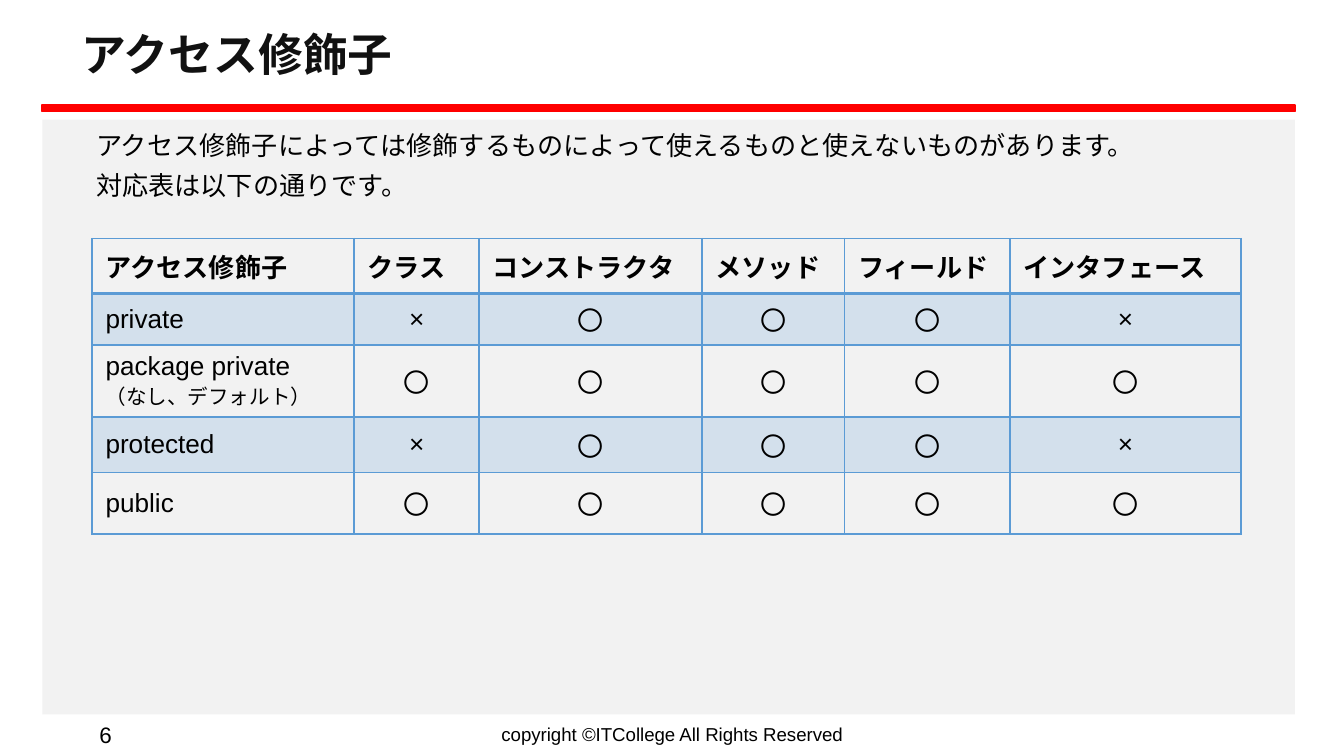
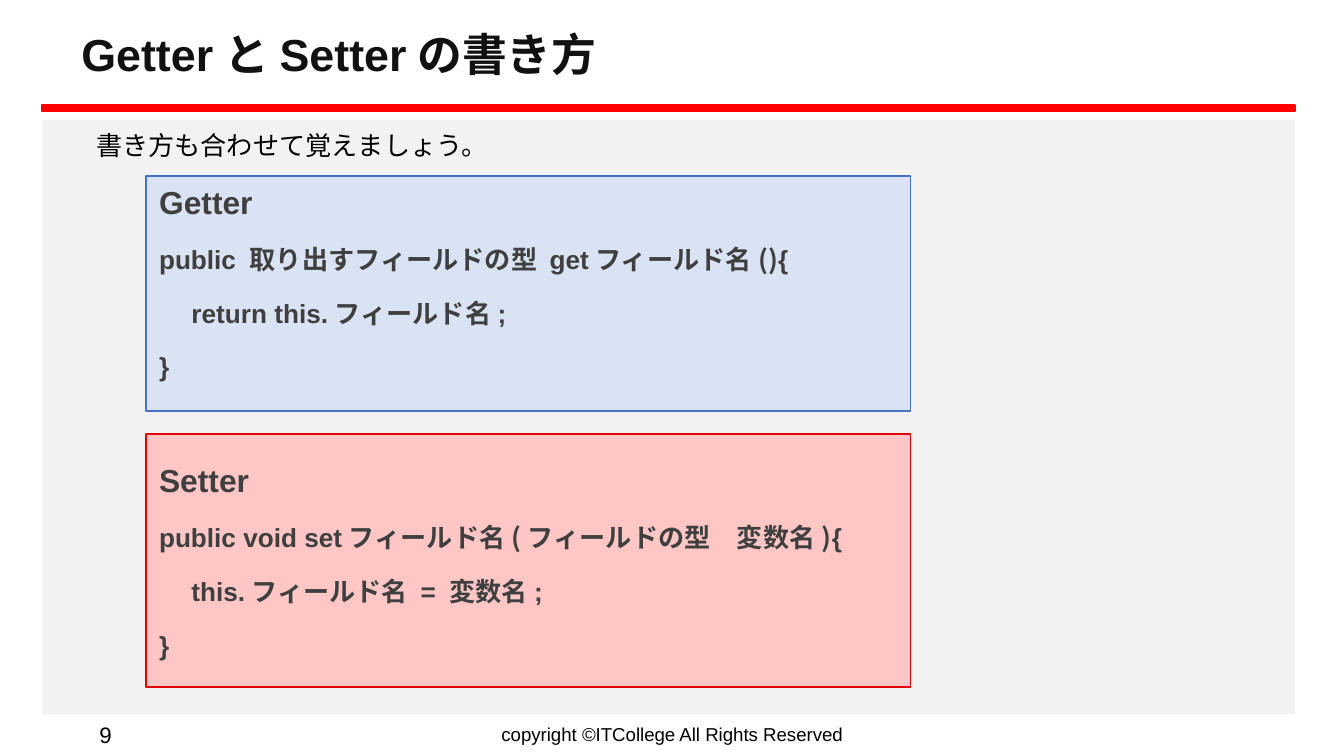
from collections import namedtuple

from lxml.etree import SubElement
from pptx import Presentation
from pptx.dml.color import RGBColor
from pptx.enum.shapes import MSO_SHAPE as Preset
from pptx.enum.text import MSO_ANCHOR as Anchor, MSO_AUTO_SIZE as AutoSize, PP_ALIGN as Align
from pptx.oxml.ns import qn
from pptx.util import Pt

PX = 4572  # 200 px to the inch
Box = namedtuple("Box", "left top width height")

COLORS = {
    "panel": "F2F2F2", "rule": "FF0000", "title": "111111", "text": "000000", "code": "3F3F3F",
    "grid": "5B9BD5", "getter_fill": "DAE3F3", "getter_line": "4472C4",
    "setter_fill": "FFC6C6", "setter_line": "E10000",
}
LATIN, JAPANESE = "Arial", "Noto Sans CJK JP"
FONTS = (LATIN, JAPANESE)
INSET, INDENT = 20, 22

SLIDE = Box(0, 0, 2000, 1125)
PANEL = Box(63, 178, 1864, 885)
RULE = Box(63, 156, 1864, 10)
TITLE = Box(101, 26, 1798, 118)
FOOTER = Box(48, 1065, 1290, 56)

COLUMNS = [390, 186, 332, 212, 246, 344]
ROWS = [82, 76, 108, 82, 92]
HEADERS = ["アクセス修飾子", "クラス", "コンストラクタ", "メソッド", "フィールド", "インタフェース"]
MODIFIERS = [
    ("private", "×〇〇〇×"),
    ("package private\n（なし、デフォルト）", "〇〇〇〇〇"),
    ("protected", "×〇〇〇×"),
    ("public", "〇〇〇〇〇"),
]

# Each code line is cut into pieces that alternate between the two fonts
GETTER = [
    ["Getter"],
    ["public ", "取り出すフィールドの型 ", "get", "フィールド名()", "{"],
    ["　return this.", "フィールド名", ";"],
    ["}"],
]
SETTER = [
    ["Setter"],
    ["public void set", "フィールド名(フィールドの型　変数名)", "{"],
    ["　this.フィールド名 = ", "変数名", ";"],
    ["}"],
]


def color(name):
    return RGBColor.from_string(COLORS[name])


def emu(box):
    return [value * PX for value in box]


def place(shape, box):
    shape.left, shape.top, shape.width, shape.height = emu(box)


def style(font, size, color_name, bold=False, name=LATIN):
    font.name, font.size, font.bold = name, Pt(size), bold
    font.color.rgb = color(color_name)


def write_pieces(paragraph, pieces, size, color_name):
    """Write bold text whose pieces alternate between the two fonts."""
    for index, piece in enumerate(pieces):
        run = paragraph.add_run()
        run.text = piece
        style(run.font, size, color_name, True, FONTS[index % 2])


def add_rectangle(slide, box, fill, line=None):
    shape = slide.shapes.add_shape(Preset.RECTANGLE, *emu(box))
    shape.shadow.inherit = False
    shape.fill.solid()
    shape.fill.fore_color.rgb = color(fill)
    if line:
        shape.line.color.rgb = color(line)
        shape.line.width = Pt(1)
    else:
        shape.line.fill.background()
    return shape


def add_label(slide, box, text, size, align):
    frame = slide.shapes.add_textbox(*emu(box)).text_frame
    frame.word_wrap = True
    frame.vertical_anchor = Anchor.MIDDLE
    paragraph = frame.paragraphs[0]
    paragraph.text = text
    paragraph.alignment = align
    style(paragraph.runs[0].font, size, "text")


# Bands behind the content
def add_bands(slide):
    bands = [add_rectangle(slide, PANEL, "panel"), add_rectangle(slide, RULE, "rule", "rule")]
    tree = slide.shapes._spTree
    for index, band in enumerate(bands, start=2):
        tree.insert(index, band._element)


# Page number and copyright line
def add_footer(slide, box, number):
    add_label(slide, Box(box.left, box.top, 138, box.height), number, 12, Align.RIGHT)
    copyright_box = Box(box.left + box.width - 676, box.top, 676, box.height)
    add_label(slide, copyright_box, "copyright ©ITCollege All Rights Reserved", 10, Align.CENTER)


def fill_title(shape, box, pieces):
    place(shape, box)
    frame = shape.text_frame
    frame.auto_size = AutoSize.NONE
    frame.vertical_anchor = Anchor.MIDDLE
    frame.margin_left = frame.margin_right = frame.margin_top = frame.margin_bottom = INSET * PX
    paragraph = frame.paragraphs[0]
    paragraph.alignment = Align.LEFT
    paragraph.line_spacing = 0.9
    write_pieces(paragraph, pieces, 24, "title")


def fill_body(shape, box, lines):
    place(shape, box)
    frame = shape.text_frame
    frame.auto_size = AutoSize.NONE
    frame.text = "\n".join(lines)
    for index, paragraph in enumerate(frame.paragraphs):
        properties = paragraph._p.get_or_add_pPr()
        properties.set("marL", str(INDENT * PX))
        properties.set("indent", "0")
        SubElement(properties, qn("a:buNone"))
        paragraph.line_spacing = 0.9
        paragraph.space_before = Pt(6 if index else 0)
        style(paragraph.runs[0].font, 14, "text")


def add_page(presentation, number, title, body_box, lines):
    slide = presentation.slides.add_slide(presentation.slide_layouts[1])
    fill_title(slide.shapes.title, TITLE, title)
    fill_body(slide.placeholders[1], body_box, lines)
    add_bands(slide)
    add_footer(slide, FOOTER, number)
    return slide


# Table of modifiers
def set_borders(cell, row_index):
    properties = cell._tc.get_or_add_tcPr()
    heavy = {0: "lnB", 1: "lnT"}.get(row_index)
    for side in ("lnL", "lnR", "lnT", "lnB"):
        line = SubElement(properties, qn(f"a:{side}"), w=str(Pt(2 if side == heavy else 1)))
        SubElement(SubElement(line, qn("a:solidFill")), qn("a:srgbClr"), val=COLORS["grid"])


def fill_cell(cell, text, row_index, column_index):
    set_borders(cell, row_index)
    if row_index % 2:
        cell.fill.solid()
        cell.fill.fore_color.rgb = color("grid")
        tint = cell._tc.tcPr.find(qn("a:solidFill")).find(qn("a:srgbClr"))
        SubElement(tint, qn("a:alpha"), val="20000")
    else:
        cell.fill.background()
    cell.vertical_anchor = Anchor.MIDDLE
    cell.text_frame.text = text
    centred = row_index and column_index
    for index, paragraph in enumerate(cell.text_frame.paragraphs):
        paragraph.alignment = Align.CENTER if centred else Align.LEFT
        style(paragraph.runs[0].font, 11 if index else 14, "text", row_index == 0)


def add_modifier_table(slide, box):
    table = slide.shapes.add_table(len(ROWS), len(COLUMNS), *emu(box)).table
    table.first_row = table.horz_banding = False
    for column, width in zip(table.columns, COLUMNS):
        column.width = width * PX
    for row, height in zip(table.rows, ROWS):
        row.height = height * PX
    contents = [HEADERS] + [[name, *marks] for name, marks in MODIFIERS]
    for row_index, texts in enumerate(contents):
        for column_index, text in enumerate(texts):
            fill_cell(table.cell(row_index, column_index), text, row_index, column_index)


# Framed code sample with a heading line
def add_code_box(slide, box, lines, kind, anchor):
    shape = add_rectangle(slide, box, f"{kind}_fill", f"{kind}_line")
    frame = shape.text_frame
    frame.word_wrap = True
    frame.vertical_anchor = anchor
    for index, pieces in enumerate(lines):
        paragraph = frame.add_paragraph() if index else frame.paragraphs[0]
        paragraph.alignment = Align.LEFT
        paragraph.space_before = Pt(12 if index else 0)
        write_pieces(paragraph, pieces, 14 if index else 17, "code")


def build_modifier_slide(presentation):
    slide = add_page(presentation, "6", ["アクセス修飾子"], Box(101, 188, 1798, 130), [
        "アクセス修飾子によっては修飾するものによって使えるものと使えないものがあります。",
        "対応表は以下の通りです。",
    ])
    add_modifier_table(slide, Box(137, 355, sum(COLUMNS), sum(ROWS)))


def build_accessor_slide(presentation):
    slide = add_page(presentation, "9", ["Getter", "と", "Setterの書き方"],
                     Box(101, 188, 1798, 74), ["書き方も合わせて覚えましょう。"])
    add_code_box(slide, Box(217, 262, 1138, 350), GETTER, "getter", Anchor.TOP)
    add_code_box(slide, Box(217, 646, 1138, 377), SETTER, "setter", Anchor.MIDDLE)


def main():
    presentation = Presentation()
    presentation.slide_width, presentation.slide_height = emu(SLIDE)[2:]
    build_modifier_slide(presentation)
    build_accessor_slide(presentation)
    presentation.save("out.pptx")


if __name__ == "__main__":
    main()
